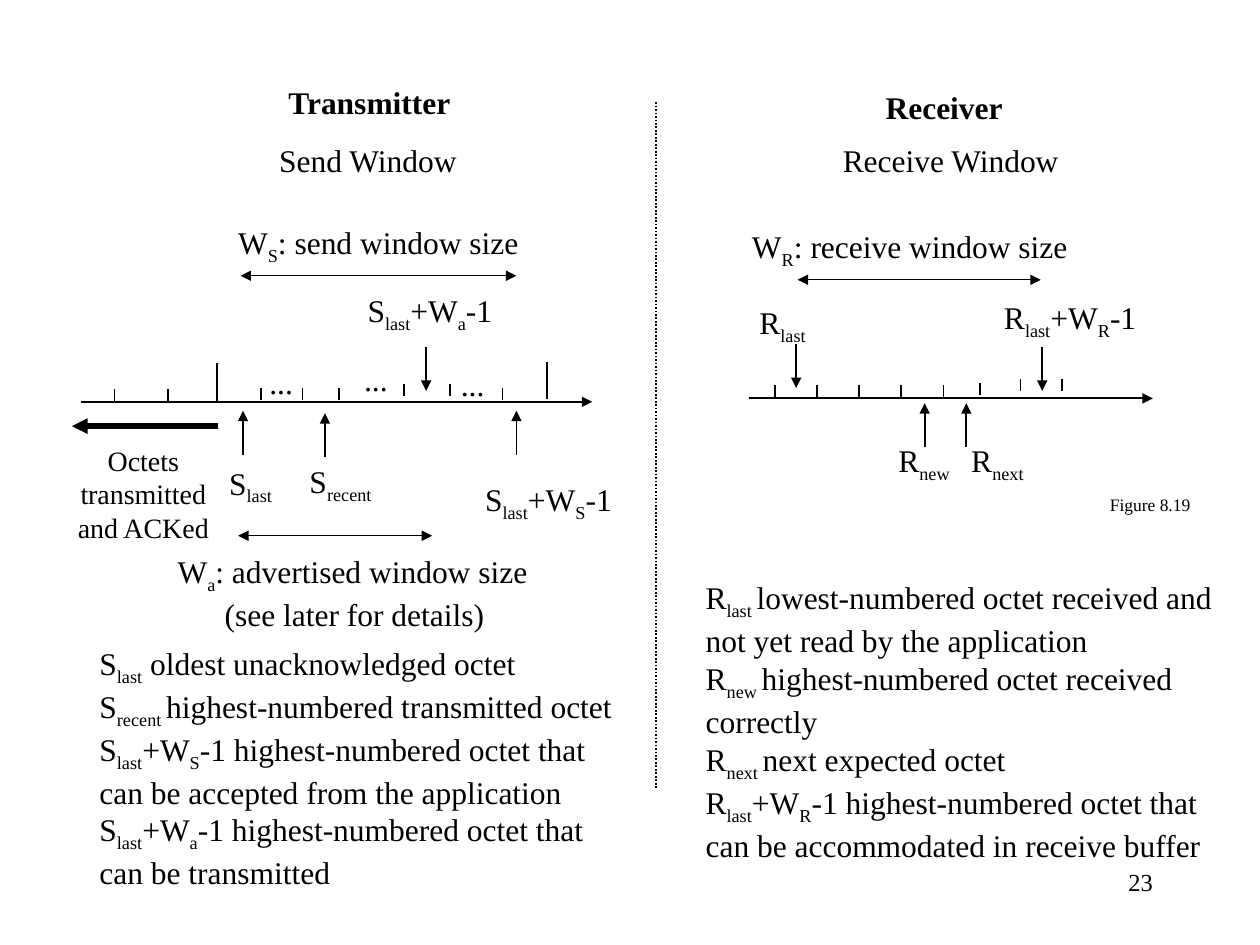
import pptx
import pptx.dml.color
import pptx.enum.dml
import pptx.enum.shapes
import pptx.enum.text
import pptx.oxml.ns
import pptx.util
from lxml import etree

Cm = pptx.util.Cm
Pt = pptx.util.Pt
ALIGN = pptx.enum.text.PP_ALIGN
ANCHOR = pptx.enum.text.MSO_ANCHOR
BLACK = pptx.dml.color.RGBColor(0, 0, 0)
FONT = "Times New Roman"
TICK, ARROW, LABEL_H = 0.24, 0.89, 1.02


def add_line(s, box, start, end, width=1, head=False, tail=False):
    (x, y), (x1, y1), (x2, y2) = box, start, end
    c = s.shapes.add_connector(pptx.enum.shapes.MSO_CONNECTOR.STRAIGHT,
                               Cm(x + x1), Cm(y + y1), Cm(x + x2), Cm(y + y2))
    c.line.color.rgb = BLACK
    c.line.width = Pt(width)
    ln = c.line._get_or_add_ln()
    for tag, wanted in (("a:headEnd", head), ("a:tailEnd", tail)):
        if wanted:
            etree.SubElement(ln, pptx.oxml.ns.qn(tag), type="triangle")
    etree.SubElement(c._element.spPr, pptx.oxml.ns.qn("a:effectLst"))
    return c


def write(tf, lines, size=18, bold=False, align=ALIGN.LEFT):
    """Fill a frame; every second part between bars is a subscript."""
    for i, line in enumerate(lines):
        p = tf.paragraphs[0] if i == 0 else tf.add_paragraph()
        p.alignment = align
        p.space_before = Pt(0)
        for n, part in enumerate(line.split("|")):
            r = p.add_run()
            r.text = part
            r.font.name, r.font.size, r.font.bold = FONT, Pt(size), bold
            r.font.color.rgb = BLACK
            if n % 2:
                r._r.get_or_add_rPr().set("baseline", "-25000")


def place(sp, box, x, y, w, h):
    sp.left, sp.top = Cm(box[0] + x), Cm(box[1] + y)
    sp.width, sp.height = Cm(w), Cm(h)


def add_label(s, box, x, y, w, *lines, h=LABEL_H, **style):
    sp = s.shapes.add_textbox(0, 0, 0, 0)
    place(sp, box, x, y, w, h)
    sp.text_frame.word_wrap = False
    write(sp.text_frame, lines, **style)
    return sp


def fill_placeholder(s, idx, box, frame, lines, **style):
    sp = s.placeholders[idx]
    place(sp, box, *frame)
    tf = sp.text_frame
    tf.auto_size = pptx.enum.text.MSO_AUTO_SIZE.NONE
    tf.vertical_anchor = ANCHOR.TOP
    tf.word_wrap = True
    write(tf, lines, **style)
    for p in tf.paragraphs:
        pPr = p._p.get_or_add_pPr()
        pPr.set("marL", "0")
        pPr.set("indent", "0")
        etree.SubElement(pPr, pptx.oxml.ns.qn("a:buNone"))


def add_marks(s, box, ticks, up, down):
    """Draw axis ticks, arrows from below and arrows from above."""
    for x, y in ticks:
        add_line(s, box, (x, y), (x, y + TICK))
    for x, y in up:
        add_line(s, box, (x, y), (x, y + ARROW), head=True)
    for x, y in down:
        add_line(s, box, (x, y), (x, y + ARROW), tail=True)


def add_span(s, box, x1, x2, y):
    add_line(s, box, (x1, y), (x2, y), width=0.75, head=True, tail=True)


def add_transmitter(s, box):
    fill_placeholder(s, 1, box, (4.26, 0.05, 3.81, LABEL_H), ["Transmitter"], bold=True)
    add_label(s, box, 4.08, 1.22, 4.11, "Send Window")

    add_line(s, box, (0.33, 6.6), (10.64, 6.6), tail=True)
    add_marks(s, box,
              ticks=[(1.01, 6.35), (2.08, 6.35), (3.96, 6.32), (4.8, 6.32),
                     (5.53, 6.32), (6.85, 6.25), (7.77, 6.25), (8.83, 6.32)],
              up=[(3.6, 6.78), (5.25, 6.83), (9.11, 6.78)],
              down=[(7.29, 5.49)])
    add_line(s, box, (3.07, 5.82), (3.07, 6.6))
    add_line(s, box, (9.72, 5.79), (9.72, 6.55))
    add_line(s, box, (3.09, 7.09), (0.15, 7.09), width=3, tail=True)
    add_span(s, box, 3.55, 9.11, 4.06)
    add_span(s, box, 3.5, 7.41, 9.3)

    for x, y in ((3.88, 5.69), (5.79, 5.64), (7.74, 5.74)):
        add_label(s, box, x, y, 0.99, "...")
    for x, y, w, text in ((3.25, 2.87, 6.4, "W|S|: send window size"),
                          (5.86, 4.24, 3.12, "S|last|+W|a|-1"),
                          (3.07, 7.72, 1.45, "S|last"),
                          (4.69, 7.69, 1.9, "S|recent"),
                          (8.23, 8.05, 3.2, "S|last|+W|S|-1")):
        add_label(s, box, x, y, w, text)
    add_label(s, box, 0, 7.31, 3.18, "Octets", "transmitted", "and ACKed",
              h=2.29, size=16, align=ALIGN.CENTER)
    sp = add_label(s, box, 2.03, 9.5, 7.62, "W|a|: advertised window size",
                   "(see later for details)", h=1.78)
    sp.text_frame.paragraphs[1]._p.get_or_add_pPr().set("marL", str(Cm(0.95)))

    fill_placeholder(s, 2, box, (0.45, 11.35, 11.18, 4.88), [
        "S|last| oldest unacknowledged octet",
        "S|recent |highest-numbered transmitted octet",
        "S|last|+W|S|-1 highest-numbered octet that can be accepted from the application",
        "S|last|+W|a|-1 highest-numbered octet that can be transmitted"])


def add_receiver(s, box):
    fill_placeholder(s, 3, box, (3.7, 0.15, 2.92, LABEL_H), ["Receiver"], bold=True)
    add_label(s, box, 2.84, 1.22, 4.9, "Receive Window")

    add_line(s, box, (1.19, 6.53), (9.34, 6.53), tail=True)
    even_ticks = [(1.72 + 0.85 * i, 6.27) for i in range(5)]
    add_marks(s, box,
              ticks=even_ticks + [(5.86, 6.22), (6.67, 6.15), (7.51, 6.15)],
              up=[(4.74, 6.63), (5.58, 6.63)],
              down=[(2.15, 5.43), (7.11, 5.49)])
    add_span(s, box, 2.18, 7.08, 4.14)

    for x, y, w, text in ((1.01, 2.95, 6.96, "W|R|: receive window size"),
                          (1.16, 4.49, 1.52, "R|last"),
                          (6.09, 4.39, 3.28, "R|last|+W|R|-1"),
                          (3.96, 7.26, 1.65, "R|new"),
                          (5.43, 7.26, 1.68, "R|next")):
        add_label(s, box, x, y, w, text)
    sp = add_label(s, box, 8.22, 8.33, 2.13, "Figure 8.19", h=0.69,
                   size=10, align=ALIGN.CENTER)
    sp.text_frame.vertical_anchor = ANCHOR.MIDDLE

    fill_placeholder(s, 4, box, (0.07, 10.03, 11.18, 5.64), [
        "R|last |lowest-numbered octet received and not yet read by the application",
        "R|new |highest-numbered octet received",
        "correctly",
        "R|next |next expected octet",
        "R|last|+W|R|-1 highest-numbered octet that can be accommodated in receive buffer"])


def main():
    prs = pptx.Presentation()
    prs.slide_width, prs.slide_height = Cm(25.4), Cm(19.05)
    s = prs.slides.add_slide(prs.slide_layouts.get_by_name("Comparison"))
    title = s.shapes.title._element
    title.getparent().remove(title)

    divider = add_line(s, (13.23, 2.06), (0, 0), (0, 13.84))
    divider.line.dash_style = pptx.enum.dml.MSO_LINE.ROUND_DOT
    add_transmitter(s, (1.3, 1.5))
    add_receiver(s, (13.9, 1.5))
    add_label(s, (18.21, 17.35), 0, 0, 5.28, "23", h=1.27, size=14,
              align=ALIGN.RIGHT).text_frame.word_wrap = True
    prs.save("out.pptx")


if __name__ == "__main__":
    main()
